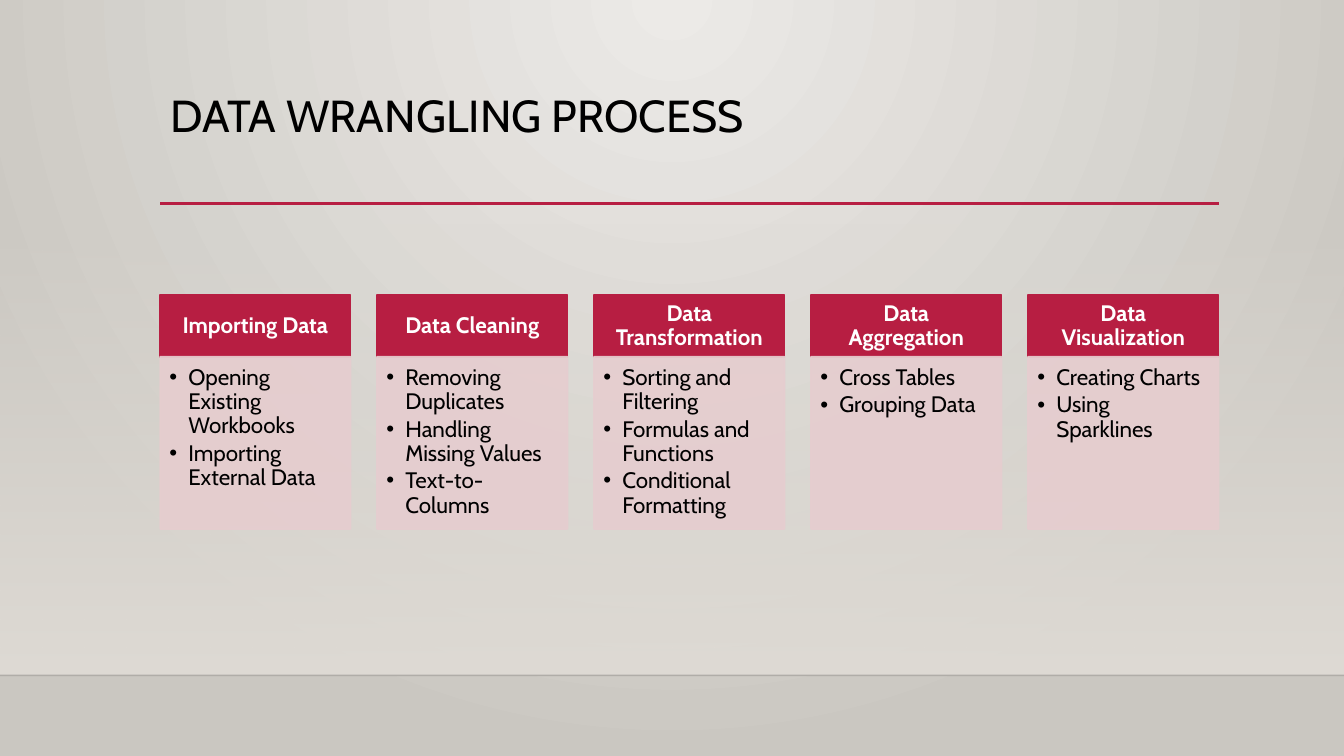
from lxml import etree
from pptx import Presentation
from pptx.dml.color import RGBColor
from pptx.enum import shapes, text
from pptx.oxml import ns
from pptx.util import Pt

HUES = {
    "red": "B71E42", "pink": "E6CDCF", "black": "000000", "white": "FFFFFF",
    "light": "ECEAE7", "dark": "CAC7C1", "floor": "DFDBD5",
}
RGB = {name: RGBColor.from_string(code) for name, code in HUES.items()}

STEPS = [
    ("Importing Data", ["Opening Existing Workbooks", "Importing External Data"]),
    ("Data Cleaning", ["Removing Duplicates", "Handling Missing Values", "Text-to-Columns"]),
    ("Data Transformation",
     ["Sorting and Filtering", "Formulas and Functions", "Conditional Formatting"]),
    ("Data Aggregation", ["Cross Tables", "Grouping Data"]),
    ("Data Visualization", ["Creating Charts", "Using Sparklines"]),
]


def write(shape, lines, size=16, hue="black", bold=False, align="LEFT",
          anchor="TOP", pads=(7.2, 3.6, 7.2, 3.6), after=0, indent=0):
    """Fill a shape with paragraphs; an indent gives them bullets."""
    frame = shape.text_frame
    frame.word_wrap = True
    frame.vertical_anchor = getattr(text.MSO_ANCHOR, anchor)
    for side, pad in zip(("left", "top", "right", "bottom"), pads):
        setattr(frame, f"margin_{side}", Pt(pad))
    for i, line in enumerate(lines):
        para = frame.add_paragraph() if i else frame.paragraphs[0]
        para.alignment = getattr(text.PP_ALIGN, align)
        para.line_spacing = 0.9
        para.space_after = Pt(after)
        run = para.add_run()
        run.text = line
        run.font.name, run.font.size, run.font.bold = "Cabin", Pt(size), bold
        run.font.color.rgb = RGB[hue]
        if indent:
            props = para._p.get_or_add_pPr()
            props.set("marL", str(Pt(indent)))
            props.set("indent", str(-Pt(indent)))
            etree.SubElement(props, ns.qn("a:buFont")).set("typeface", "Arial")
            etree.SubElement(props, ns.qn("a:buChar")).set("char", "•")


def fade(colors, opacity):
    """Set the opacity, in percent, of each colour element."""
    for color in colors:
        etree.SubElement(color, ns.qn("a:alpha")).set("val", str(opacity * 1000))


deck = Presentation()
deck.slide_width, deck.slide_height = Pt(960), Pt(540)
slide = deck.slides.add_slide(deck.slide_layouts[6])
items = slide.shapes
RECT = shapes.MSO_SHAPE.RECTANGLE
COLOR = ns.qn("a:srgbClr")

# Background: a glow from the top centre
back = slide.background.fill
back.gradient()
for stop, hue in zip(back.gradient_stops, ("light", "dark")):
    stop.color.rgb = RGB[hue]
grad = slide.element.find(".//" + ns.qn("a:gradFill"))
grad.remove(grad.find(ns.qn("a:lin")))
glow = etree.SubElement(grad, ns.qn("a:path"), {"path": "circle"})
etree.SubElement(glow, ns.qn("a:fillToRect"),
                 {"l": "43000", "t": "0", "r": "43000", "b": "100000"})

# Wall fading in towards the floor
wall = items.add_shape(RECT, 0, Pt(159), Pt(960), Pt(323.4))
wall.shadow.inherit = False
wall.line.fill.background()
wall.fill.gradient()
wall.fill.gradient_angle = 270
for stop in wall.fill.gradient_stops:
    stop.color.rgb = RGB["floor"]
fade(list(wall._element.spPr.iter(COLOR))[:1], 0)

# Floor edge and title rule
for left, right, y, hue, width, opacity in (
        (0, 960, 482.4, "black", 1, 20), (114.4, 871, 145.4, "red", 2.5, 100)):
    rule = items.add_connector(shapes.MSO_CONNECTOR.STRAIGHT,
                               Pt(left), Pt(y), Pt(right), Pt(y))
    rule.line.color.rgb, rule.line.width = RGB[hue], Pt(width)
    props = rule._element.spPr
    fade(props.iter(COLOR), opacity)
    etree.SubElement(props, ns.qn("a:effectLst"))

title = items.add_textbox(Pt(114.4), Pt(63.4), Pt(756), Pt(82.8))
write(title, ["DATA WRANGLING PROCESS"], size=32)

# One column per step: heading above its list
for col, (name, tasks) in enumerate(STEPS):
    left = Pt(114.4 + col * 155)
    head = items.add_shape(RECT, left, Pt(210.8), Pt(136), Pt(44))
    body = items.add_shape(RECT, left, Pt(254.8), Pt(136), Pt(123))
    for box, hue in ((head, "red"), (body, "pink")):
        box.shadow.inherit = False
        box.fill.solid()
        box.fill.fore_color.rgb = box.line.color.rgb = RGB[hue]
        box.line.width = Pt(1.25)
    fade(body._element.spPr.iter(COLOR), 90)
    write(head, [name], hue="white", bold=True, align="CENTER",
          anchor="MIDDLE", pads=(9, 5, 9, 5))
    write(body, tasks, pads=(6.7, 6.7, 9, 10), after=2.4, indent=13.5)

deck.save("out.pptx")
